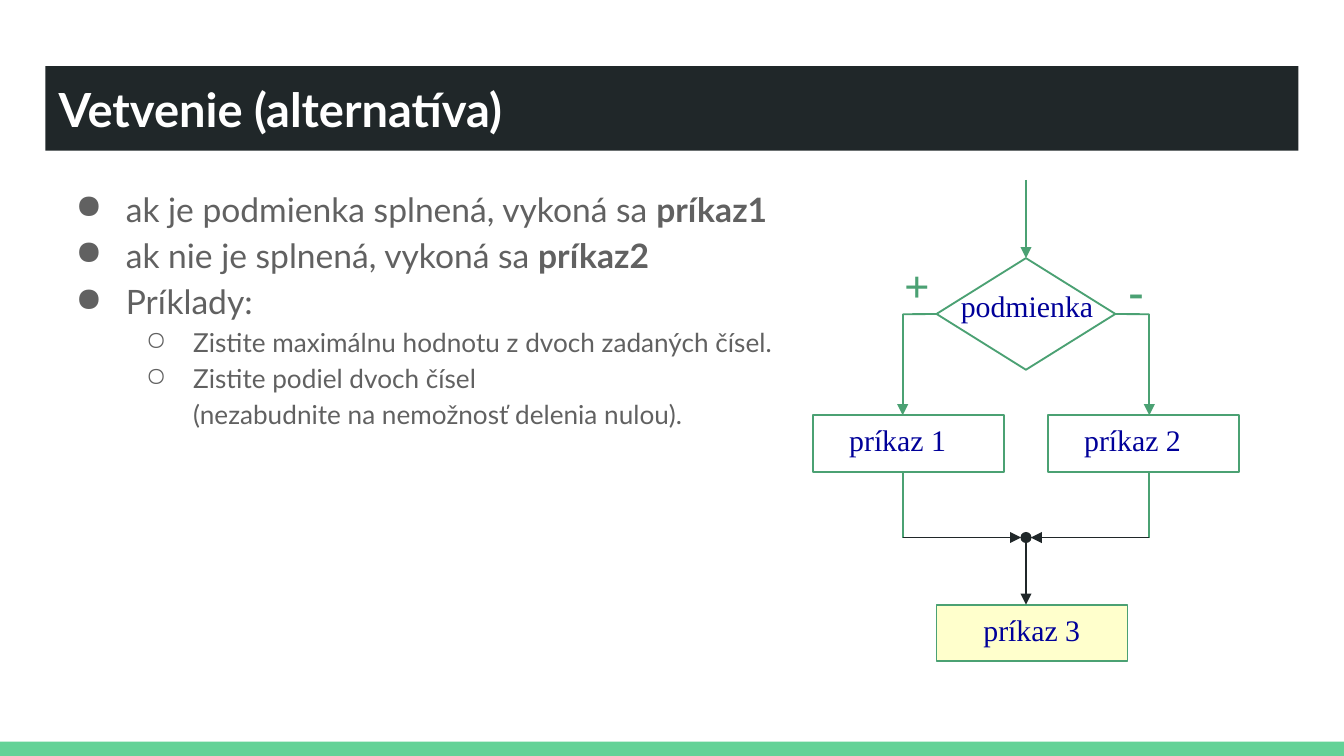
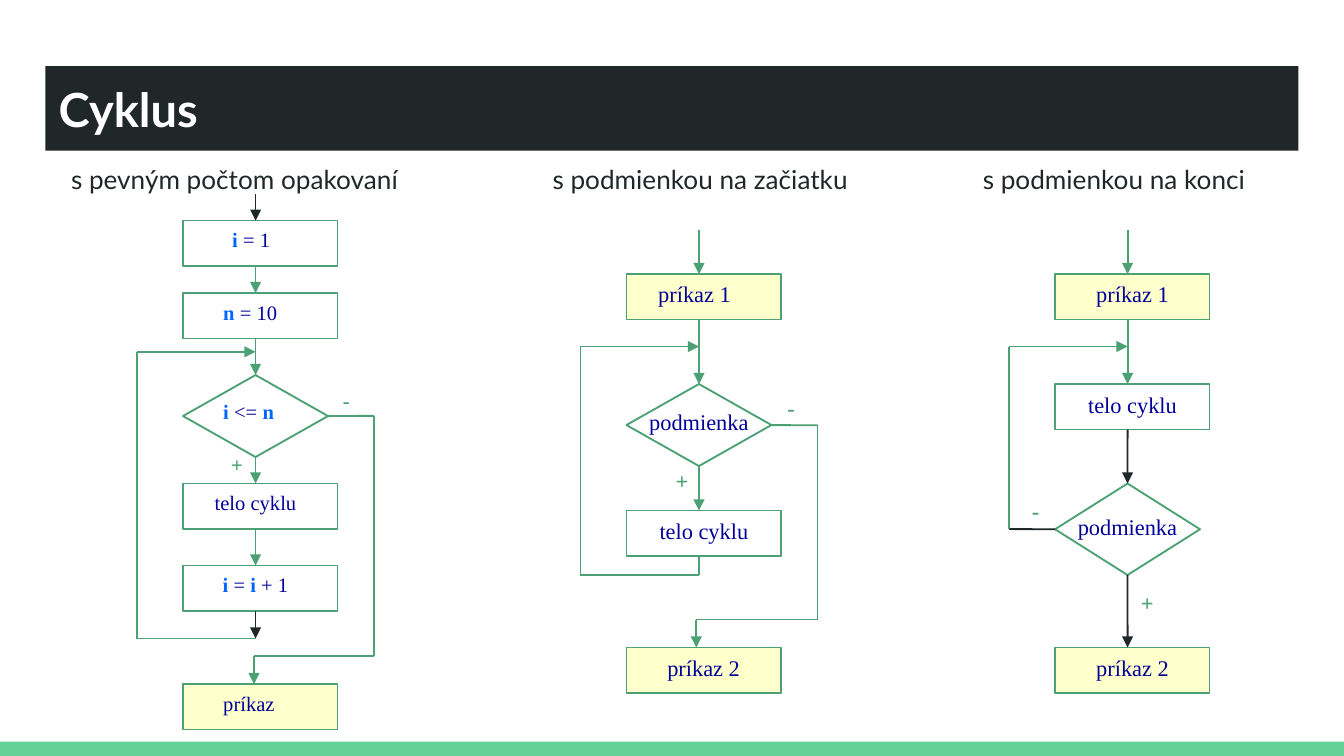
from dataclasses import dataclass
from itertools import pairwise

from lxml import etree
from pptx import Presentation
from pptx.dml.color import RGBColor
from pptx.enum.shapes import MSO_CONNECTOR, MSO_SHAPE as SHAPE
from pptx.enum.text import MSO_ANCHOR as ANCHOR, MSO_AUTO_SIZE as AUTO, PP_ALIGN as ALIGN
from pptx.oxml.ns import qn
from pptx.util import Cm, Pt


@dataclass(frozen=True)
class Theme:
    dark: str = "202729"
    accent: str = "63D297"
    green: str = "4BA173"
    white: str = "FFFFFF"
    yellow: str = "FFFFCC"
    grey: str = "616161"
    navy: str = "000099"
    blue: str = "0066FF"
    sans: str = "Lato"
    serif: str = "Times New Roman"
    title: float = 25.2
    body: int = 18
    sub: int = 14
    heading: int = 14
    line: int = 1


@dataclass(frozen=True)
class Scale:
    """Sizes of one flowchart, in cm and points."""
    box: tuple
    diamond: tuple
    text: int
    sign: int


T = Theme()
WIDTH, HEIGHT = 25.4, 14.29
MARGIN = 0.86
BIG = Scale((3.61, 1.07), (3.38, 2.11), 16, 24)
MEDIUM = Scale((2.92, 0.86), (2.74, 1.55), 12, 12)
SMALL = Scale((2.92, 0.86), (2.74, 1.55), 11, 11)
TALL = Scale((2.92, 0.86), (2.74, 1.73), 12, 12)
HALF = 1.37   # left edge of a loop's shapes to its spine
REACH = 2.24  # spine to the side lines of a loop


# Text
def write(p, text, size, font, color, strong=None, bold=False):
    """Fill a paragraph; parts between asterisks are bold, in the strong colour."""
    for row, line in enumerate(text.split("\n")):
        if row:
            p.add_line_break()
        for i, part in enumerate(line.split("*")):
            if not part:
                continue
            r = p.add_run()
            r.text = part
            r.font.size, r.font.name = Pt(size), font
            r.font.bold = bold or i % 2 == 1
            r.font.color.rgb = RGBColor.from_string(strong if strong and i % 2 else color)
    for br in p._p.findall(qn("a:br")):
        etree.SubElement(br, qn("a:rPr"), sz=str(size * 100))


def label(s, x, y, w, text, size, font=T.serif, color=T.navy, align=ALIGN.LEFT, bold=False):
    height = size * 1.2 * 2.54 / 72 + 0.25
    tf = s.shapes.add_textbox(Cm(x), Cm(y), Cm(w), Cm(height)).text_frame
    tf.word_wrap = True
    tf.auto_size = AUTO.SHAPE_TO_FIT_TEXT
    p = tf.paragraphs[0]
    p.alignment = align
    write(p, text, size, font, color, T.blue, bold)


def sign(s, x, y, text, scale, w=0.86):
    label(s, x, y, w, text, scale.sign, color=T.green, bold=True)


def set_bullet(p, char, left, hang):
    pPr = p._p.get_or_add_pPr()
    pPr.set("marL", str(Cm(left)))
    pPr.set("indent", str(-Cm(hang)))
    color = etree.SubElement(pPr, qn("a:buClr"))
    etree.SubElement(color, qn("a:srgbClr"), val=T.grey)
    etree.SubElement(pPr, qn("a:buChar"), char=char)


def bullet_list(s, items):
    tf = s.shapes.add_textbox(Cm(MARGIN), Cm(3.2), Cm(WIDTH - 2 * MARGIN), Cm(9.5)).text_frame
    tf.word_wrap = True
    tf.margin_top = tf.margin_bottom = Cm(0.25)
    for i, (level, text) in enumerate(items):
        p = tf.add_paragraph() if i else tf.paragraphs[0]
        p.level = level
        p.line_spacing = 1.15
        char, left, hang, size = (("●", 1.27, 0.95, T.body), ("○", 2.54, 0.89, T.sub))[level]
        set_bullet(p, char, left, hang)
        write(p, text, size, T.sans, T.grey)


# Shapes
def node(s, kind, x, y, w, h, fill, line=None):
    sp = s.shapes.add_shape(kind, Cm(x), Cm(y), Cm(w), Cm(h))
    sp.shadow.inherit = False
    sp.fill.solid()
    sp.fill.fore_color.rgb = RGBColor.from_string(fill)
    if line:
        sp.line.color.rgb = RGBColor.from_string(line)
        sp.line.width = Pt(T.line)
    else:
        sp.line.fill.background()
    return sp


def step(s, x, y, text, scale, dx, w, align=ALIGN.CENTER, fill=T.white):
    """Box with a label that starts dx from its left edge."""
    node(s, SHAPE.RECTANGLE, x, y, *scale.box, fill, T.green)
    label(s, x + dx, y, w, text, scale.text, align=align)


def decision(s, x, y, text, scale, dx, dy, w):
    sp = node(s, SHAPE.FLOWCHART_DECISION, x, y, *scale.diamond, T.white, T.green)
    label(s, x + dx, y + dy, w, text, scale.text)
    return sp


# Connectors
def path(s, points, color=T.green, begin=None, end=None, head=None, tail="triangle"):
    """Chain of straight lines; begin and end are (shape, site) joins."""
    lines = []
    for (x1, y1), (x2, y2) in pairwise(points):
        c = s.shapes.add_connector(MSO_CONNECTOR.STRAIGHT, Cm(x1), Cm(y1), Cm(x2), Cm(y2))
        c.line.color.rgb = RGBColor.from_string(color)
        c.line.width = Pt(T.line)
        etree.SubElement(c._element.spPr, qn("a:effectLst"))
        lines.append(c)
    if begin:
        lines[0].begin_connect(*begin)
    if end:
        lines[-1].end_connect(*end)
    if head:
        etree.SubElement(lines[0].line._get_or_add_ln(), qn("a:headEnd"), type=head)
    if tail:
        etree.SubElement(lines[-1].line._get_or_add_ln(), qn("a:tailEnd"), type=tail)


def down(s, x, y1, y2, color=T.green, **ends):
    path(s, [(x, y1), (x, y2)], color, **ends)


# Shared slide frame
def base_slide(prs, title):
    s = prs.slides.add_slide(prs.slide_layouts[6])
    node(s, SHAPE.RECTANGLE, 0, 14.02, WIDTH, 0.27, T.accent)
    tf = node(s, SHAPE.RECTANGLE, MARGIN, 1.25, WIDTH - 2 * MARGIN, 1.6, T.dark).text_frame
    tf.word_wrap = True
    tf.vertical_anchor = ANCHOR.MIDDLE
    tf.paragraphs[0].alignment = ALIGN.LEFT
    write(tf.paragraphs[0], title, T.title, T.sans, T.white, bold=True)
    return s


def branching_slide(prs):
    s = base_slide(prs, "Vetvenie (alternatíva)")
    bullet_list(s, [
        (0, "ak je podmienka splnená, vykoná sa *príkaz1*"),
        (0, "ak nie je splnená, vykoná sa *príkaz2*"),
        (0, "Príklady:"),
        (1, "Zistite maximálnu hodnotu z dvoch zadaných čísel."),
        (1, "Zistite podiel dvoch čísel\n(nezabudnite na nemožnosť delenia nulou)."),
    ])
    x, arm = 19.39, 2.33
    cond = decision(s, 17.7, 4.88, "podmienka", BIG, 0.21, 0.43, 3.61)
    down(s, x, 3.4, 4.88, end=(cond, 0))
    # Two branches that meet again
    for side, site, left, text in ((-1, 1, 15.37, "príkaz 1"), (1, 3, 19.81, "príkaz 2")):
        branch = x + side * arm
        step(s, left, 7.85, text, BIG, 0.43, 2.97, ALIGN.LEFT)
        path(s, [(x + side * 1.69, 5.94), (branch, 5.94), (branch, 7.85)], begin=(cond, site))
        down(s, branch, 8.92, 10.16, tail=None)
        path(s, [(branch, 10.16), (x + side * 0.09, 10.16)], T.dark)
    sign(s, 16.84, 4.75, "+", BIG, 1.07)
    sign(s, 21.08, 4.85, "-", BIG, 1.07)
    step(s, 17.7, 11.43, "príkaz 3", BIG, 0.21, 3.18, fill=T.yellow)
    down(s, x, 10.16, 11.43, T.dark, head="oval")


# Loops; x is the spine of the flowchart
def counted_loop(s, x):
    left = x - HALF
    step(s, left, 4.17, "*i *= 1", SMALL, 0.68, 1.73, ALIGN.LEFT)
    step(s, left, 5.54, "*n *= 10", SMALL, 0.51, 2.06, ALIGN.LEFT)
    cond = decision(s, left, 7.09, "*i* <= *n*", SMALL, 0.51, 0.33, 1.55)
    step(s, left, 9.14, "telo cyklu", SMALL, 0, 2.74)
    step(s, left, 10.69, "*i *= *i* + 1", SMALL, 0, 2.74)
    step(s, left, 12.93, "príkaz", SMALL, 0.51, 1.73, ALIGN.LEFT, T.yellow)
    down(s, x, 3.66, 4.17, T.dark)
    down(s, x, 5.03, 5.54)
    down(s, x, 6.4, 7.09, end=(cond, 0))
    down(s, x, 8.64, 9.14, begin=(cond, 2))
    down(s, x, 10, 10.69)
    down(s, x, 11.55, 12.07, T.dark)
    path(s, [(x, 12.07), (x - REACH, 12.07), (x - REACH, 6.65), (x, 6.65)])
    path(s, [(x + HALF, 7.86), (x + REACH, 7.86), (x + REACH, 12.4),
             (x - 0.03, 12.4), (x - 0.03, 12.93)], begin=(cond, 3))
    sign(s, x - 0.71, 8.41, "+", SMALL)
    sign(s, x + 1.4, 7.21, "-", SMALL)


def pretest_loop(s, x):
    left = x - HALF
    step(s, left, 5.18, "príkaz 1", MEDIUM, 0.35, 2.41, ALIGN.LEFT, T.yellow)
    cond = decision(s, left, 7.26, "podmienka", MEDIUM, 0.18, 0.33, 2.92)
    step(s, left, 9.65, "telo cyklu", MEDIUM, 0.18, 2.57)
    step(s, left, 12.24, "príkaz 2", MEDIUM, 0, 2.92, fill=T.yellow)
    down(s, x, 4.34, 5.18)
    down(s, x, 6.04, 7.26, end=(cond, 0))
    down(s, x, 8.81, 9.65, begin=(cond, 2))
    path(s, [(x, 10.51), (x, 10.87), (x - REACH, 10.87), (x - REACH, 6.55), (x, 6.55)])
    path(s, [(x + HALF, 8.04), (x + REACH, 8.04), (x + REACH, 11.71),
             (x - 0.05, 11.71), (x - 0.05, 12.24)], begin=(cond, 3))
    sign(s, x - 0.69, 8.71, "+", MEDIUM)
    sign(s, x + 1.42, 7.32, "-", MEDIUM)


def posttest_loop(s, x):
    left = x - HALF
    for y, text, fill in ((5.18, "príkaz 1", T.yellow), (7.26, "telo cyklu", T.white),
                          (12.24, "príkaz 2", T.yellow)):
        step(s, left, y, text, TALL, 0.18, 2.57, fill=fill)
    cond = decision(s, left, 9.14, "podmienka", TALL, 0.18, 0.44, 2.92)
    down(s, x, 4.34, 5.18)
    down(s, x, 6.04, 7.26)
    down(s, x, 8.12, 9.14, T.dark, end=(cond, 0))
    down(s, x, 10.87, 12.24, T.dark, begin=(cond, 2))
    path(s, [(left, 10), (x - REACH, 10)], T.dark, begin=(cond, 1), tail=None)
    path(s, [(x - REACH, 10), (x - REACH, 6.55), (x, 6.55)])
    sign(s, x, 11.02, "+", TALL)
    sign(s, x - 2.06, 9.27, "-", TALL, 0.69)


def loop_slide(prs):
    s = base_slide(prs, "Cyklus")
    for x, w, text in ((0.84, 7.19, "s pevným počtom opakovaní"),
                       (9.96, 6.55, "s podmienkou na začiatku"),
                       (17.98, 6.15, "s podmienkou na konci")):
        label(s, x, 2.97, w, text, T.heading, T.sans, T.dark, ALIGN.CENTER)
    counted_loop(s, 4.83)
    pretest_loop(s, 13.21)
    posttest_loop(s, 21.31)


def main():
    prs = Presentation()
    prs.slide_width, prs.slide_height = Cm(WIDTH), Cm(HEIGHT)
    branching_slide(prs)
    loop_slide(prs)
    prs.save("out.pptx")


if __name__ == "__main__":
    main()
